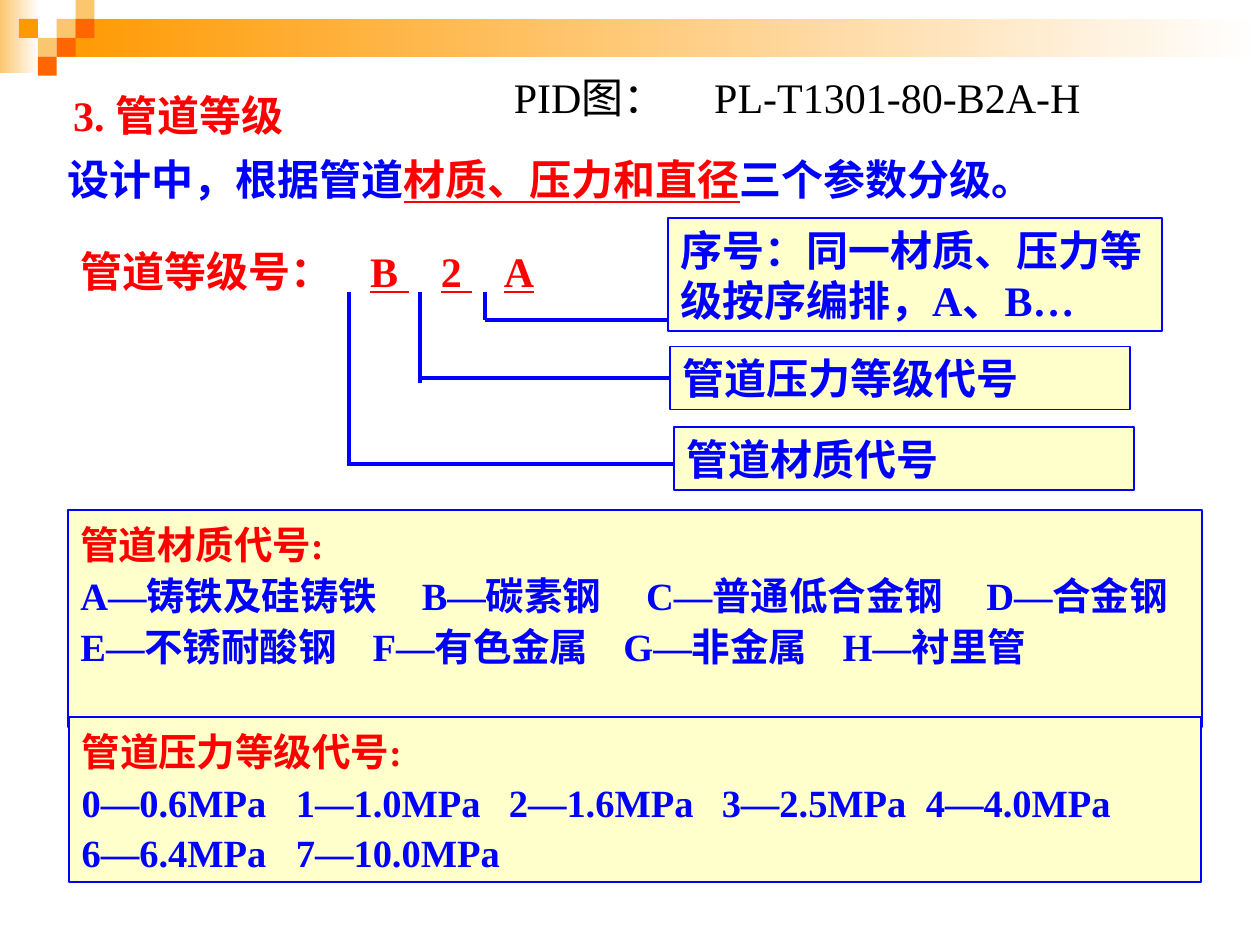
from lxml.etree import SubElement
from pptx import Presentation
from pptx.dml.color import RGBColor
from pptx.enum.shapes import MSO_CONNECTOR as CONN, MSO_SHAPE as SHAPE
from pptx.enum.text import MSO_ANCHOR as ANCHOR, MSO_AUTO_SIZE as AUTO, PP_ALIGN as ALIGN
from pptx.oxml.ns import qn
from pptx.util import Inches, Pt

COLORS = {
    "red": "FF0000", "blue": "0000FF", "black": "000000", "cream": "FFFFCC",
    "orange": "FF9900", "deep": "FF6600", "sand": "FCC66E", "white": "FFFFFF",
}


class SlideBuilder:
    """Draws styled elements on a slide measured as 100 columns by 75 rows."""

    font = "Times New Roman"

    def __init__(self, prs):
        self.cell = prs.slide_width / 100
        self.s = prs.slides.add_slide(prs.slide_layouts[5])

    def color(self, name):
        return RGBColor.from_string(COLORS[name])

    def span(self, *cells):
        return [round(c * self.cell) for c in cells]

    def fill_text(self, tf, paragraphs, size=24, bold=True, spacing=1.0, tabs=()):
        tf.word_wrap = True
        tf.auto_size = AUTO.NONE
        tf.vertical_anchor = ANCHOR.TOP
        tf.margin_left = tf.margin_right = Inches(0.1)
        tf.margin_top = tf.margin_bottom = Inches(0.05)
        for i, parts in enumerate(paragraphs):
            p = tf.paragraphs[0] if i == 0 else tf.add_paragraph()
            p.alignment = ALIGN.LEFT
            p.line_spacing = spacing
            p.space_before = Pt(0)
            stops = tabs[i] if i < len(tabs) else ()
            if stops:
                tab_list = SubElement(p._p.get_or_add_pPr(), qn("a:tabLst"))
                for pos in self.span(*stops):
                    SubElement(tab_list, qn("a:tab"), pos=str(pos), algn="l")
            for text, color, underline in parts:
                r = p.add_run()
                r.text = text
                r.font.name = self.font
                r.font.size = Pt(size)
                r.font.bold = bold
                r.font.underline = underline
                r.font.color.rgb = self.color(color)

    def title(self, box, text, color):
        sp = self.s.shapes.title
        sp.left, sp.top, sp.width, sp.height = self.span(*box)
        self.fill_text(sp.text_frame, [[(text, color, False)]])

    def text(self, box, paragraphs, **style):
        sp = self.s.shapes.add_textbox(*self.span(*box))
        self.fill_text(sp.text_frame, paragraphs, **style)

    def rect(self, box, fill, fade=False):
        sp = self.s.shapes.add_shape(SHAPE.RECTANGLE, *self.span(*box))
        sp.shadow.inherit = False
        sp.line.fill.background()
        if fade:
            sp.fill.gradient()
            sp.fill.gradient_angle = 0
            for stop, name in zip(sp.fill.gradient_stops, (fill, "white")):
                stop.color.rgb = self.color(name)
        else:
            sp.fill.solid()
            sp.fill.fore_color.rgb = self.color(fill)
        return sp

    def panel(self, box, paragraphs, **style):
        sp = self.rect(box, "cream")
        sp.line.color.rgb = self.color("blue")
        sp.line.width = Pt(1)
        self.fill_text(sp.text_frame, paragraphs, **style)
        return sp

    def line(self, x1, y1, x2, y2):
        c = self.s.shapes.add_connector(CONN.STRAIGHT, *self.span(x1, y1, x2, y2))
        c.line.color.rgb = self.color("blue")
        c.line.width = Pt(2.25)
        SubElement(c._element.spPr, qn("a:effectLst"))
        return c

    def code_list(self, box, heading, rows, tabs):
        paragraphs = [[(heading, "red", False)]]
        paragraphs += [[("\t".join(row), "blue", False)] for row in rows]
        self.panel(box, paragraphs, size=22, spacing=1.1, tabs=[(), *tabs])


def main():
    prs = Presentation()
    prs.slide_width, prs.slide_height = Inches(10), Inches(7.5)
    b = SlideBuilder(prs)

    b.rect((0, 0, 3.1, 5.8), "sand", fade=True)
    b.rect((4.5, 1.5, 95.5, 3), "orange", fade=True)
    for col, row, fill in [
        (3, 1, "sand"), (4, 0, "sand"), (4, 1, "deep"), (2, 2, "sand"),
        (1, 1, "orange"), (3, 2, "deep"), (2, 3, "deep"),
    ]:
        b.rect((col * 1.5, row * 1.5, 1.5, 1.5), fill)

    b.title((4.8, 6.6, 34, 5), "3. 管道等级", "red")
    b.text((39.8, 5.2, 50.3, 5), [[("PID图：\tPL-T1301-80-B2A-H", "black", False)]],
           bold=False, tabs=[(15.9,)])
    b.text((4.4, 10.9, 81.9, 5.8), [[
        ("设计中，根据管道", "blue", False),
        ("材质、压力和直径", "red", True),
        ("三个参数分级。", "blue", False),
    ]], spacing=1.2)
    b.text((5.4, 19, 44.4, 5), [[
        ("管道等级号：\t", "red", False), ("B ", "red", True), ("\t", "red", False),
        ("2 ", "red", True), ("\t", "red", False), ("A", "red", True),
    ]], tabs=[(23, 28.6, 33.6)])

    for x, y, drop, box, label, centred in [
        (38.5, 25.4, 25.4, (53, 17.3, 39.2, 9), "序号：同一材质、压力等级按序编排，A、B…", False),
        (33.3, 30, 30.4, (53.2, 27.5, 36.5, 5), "管道压力等级代号", True),
        (27.7, 36.8, 37, (53.5, 33.9, 36.5, 5), "管道材质代号", False),
    ]:
        sp = b.panel(box, [[(label, "blue", False)]])
        b.line(x, 23.2, x, drop)
        c = b.line(x, y, box[0], y)
        if centred:
            c.end_connect(sp, 1)

    b.code_list((5.4, 40.5, 90, 17.2), "管道材质代号:", [
        ("A—铸铁及硅铸铁", "B—碳素钢", "C—普通低合金钢", "D—合金钢"),
        ("E—不锈耐酸钢", "F—有色金属", "G—非金属", "H—衬里管"),
    ], [(27.1, 44.9, 71.9), (23.2, 43.1, 60.5)])
    pressure_tabs = (17, 33.9, 50.8, 67)
    b.code_list((5.5, 56.9, 89.8, 13.1), "管道压力等级代号:", [
        ("0—0.6MPa", "1—1.0MPa", "2—1.6MPa", "3—2.5MPa", "4—4.0MPa"),
        ("6—6.4MPa", "7—10.0MPa"),
    ], [pressure_tabs, pressure_tabs])

    prs.save("out.pptx")


if __name__ == "__main__":
    main()
